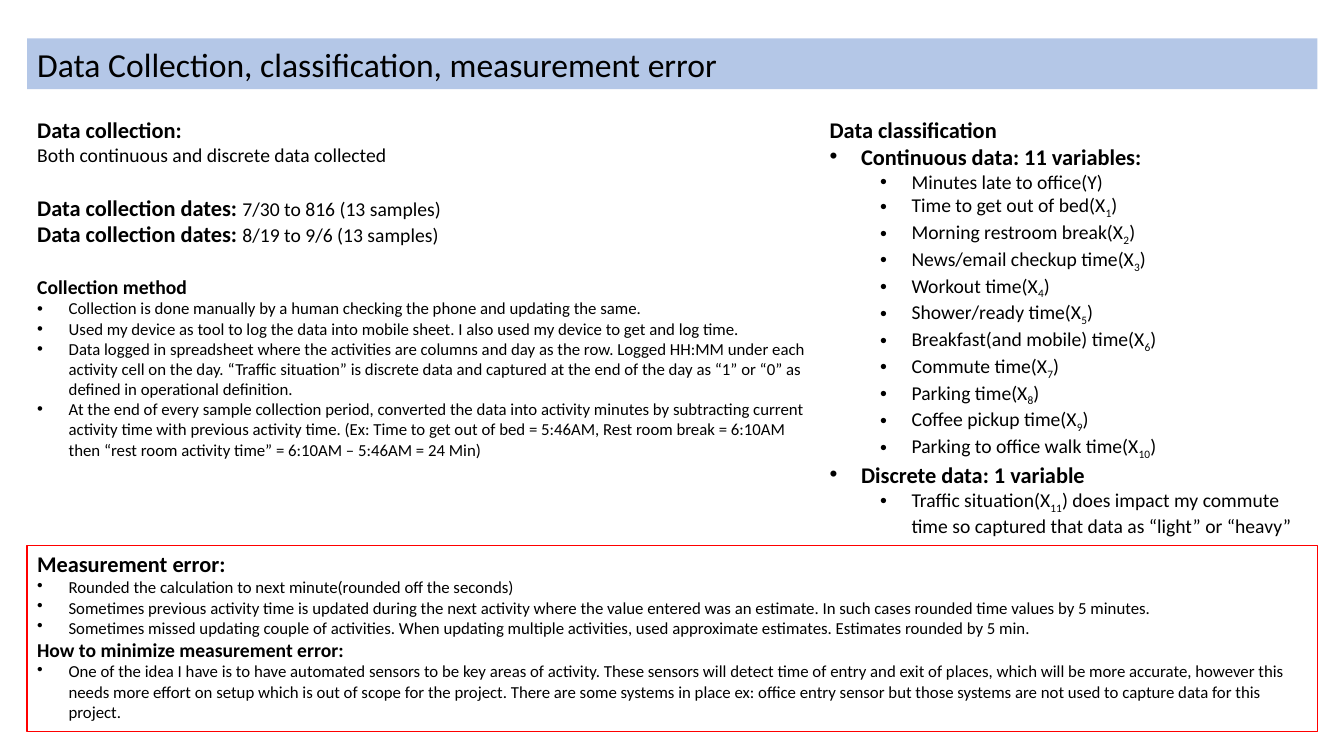
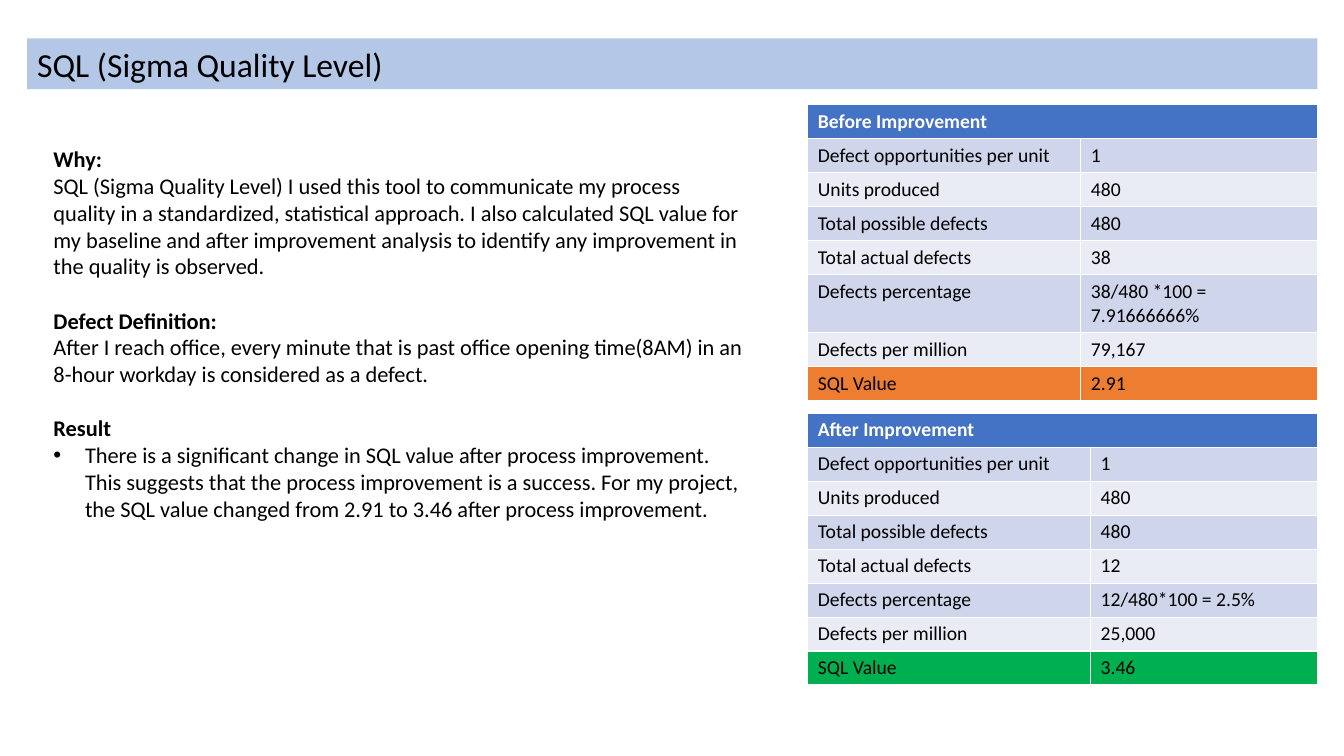
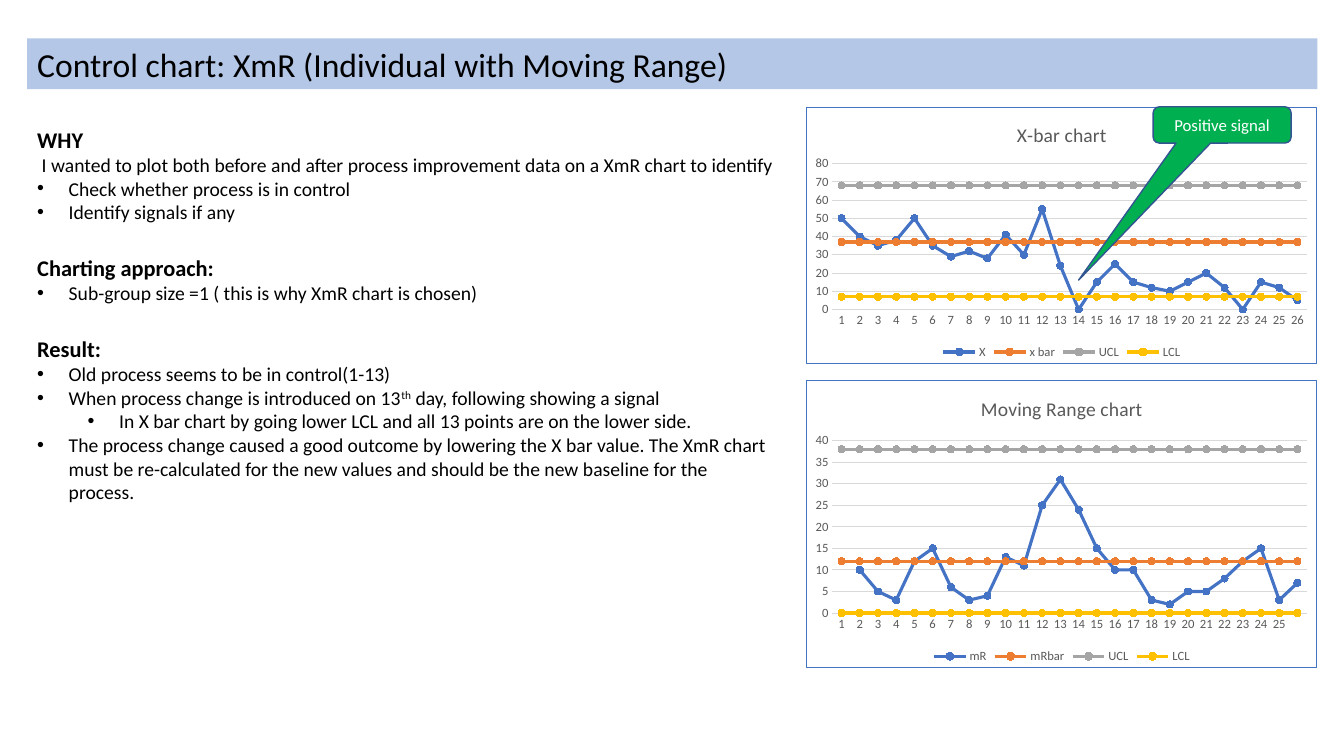
"""Build three process-improvement slides: data collection, sigma level and control charts."""
from dataclasses import dataclass

from lxml import etree
from pptx import Presentation
from pptx.chart import data as chart_data
from pptx.dml.color import RGBColor
from pptx.enum import chart as charts, shapes, text as texts
from pptx.oxml import ns
from pptx.util import Pt


@dataclass(frozen=True)
class Theme:
    font: str = "Calibri"
    black: str = "000000"
    white: str = "FFFFFF"
    band: str = "B4C7E7"
    blue: str = "4472C4"
    orange: str = "ED7D31"
    gray: str = "A5A5A5"
    gold: str = "FFC000"
    green: str = "00B050"
    red: str = "FF0000"
    callout_edge: str = "325491"
    chart_text: str = "595959"
    grid: str = "D9D9D9"
    stripes: tuple = ("CFD5EA", "E9EBF5")
    title: int = 24
    heading: int = 16
    body: int = 14
    small: int = 12
    axis: int = 9


THEME = Theme()
LEFT, RIGHT = 19.4, 941
BAND = (LEFT, 27.4, RIGHT - LEFT, 36.2)
INDENTS = (22.5, 58.5)
LINE_GAP, WIDE_GAP = 19.5, 22
SUBSCRIPT, SUPERSCRIPT = -25000, 30000

STYLES = {
    "heading": dict(size=THEME.heading, bold=True),
    "subheading": dict(size=THEME.body, bold=True),
    "large": dict(size=THEME.heading),
    "body": dict(size=THEME.body),
    "large bullet": dict(size=THEME.heading, level=0),
    "bold bullet": dict(size=THEME.heading, bold=True, level=0),
    "bullet": dict(size=THEME.body, level=0),
    "small bullet": dict(size=THEME.small, level=0),
    "sub-bullet": dict(size=THEME.body, level=1),
}


def variable(name, number, ending=""):
    return "sub-bullet", [(f"{name}(X", {}), (str(number), {"shift": SUBSCRIPT}), (f"){ending}", {})]


def collection_dates(dates):
    return [("Data collection dates: ", STYLES["heading"]), (dates, {})]


ACTIVITIES = [
    "Time to get out of bed", "Morning restroom break", "News/email checkup time", "Workout time",
    "Shower/ready time", "Breakfast(and mobile) time", "Commute time", "Parking time",
    "Coffee pickup time", "Parking to office walk time",
]
COLLECTION = [
    ("heading", "Data collection:"),
    ("body", "Both continuous and discrete data collected"),
    ("body", collection_dates("7/30 to 816 (13 samples)"), LINE_GAP),
    ("body", collection_dates("8/19 to 9/6 (13 samples)")),
    ("subheading", "Collection method", LINE_GAP),
    ("small bullet", "Collection is done manually by a human checking the phone and updating the same."),
    ("small bullet", "Used my device as tool to log the data into mobile sheet. I also used my device to get "
                     "and log time."),
    ("small bullet", "Data logged in spreadsheet where the activities are columns and day as the row. Logged "
                     "HH:MM under each activity cell on the day. “Traffic situation” is discrete data and "
                     "captured at the end of the day as “1” or “0” as defined in operational definition."),
    ("small bullet", "At the end of every sample collection period, converted the data into activity minutes by "
                     "subtracting current activity time with previous activity time. (Ex: Time to get out of "
                     "bed = 5:46AM, Rest room break = 6:10AM then “rest room activity time” = 6:10AM – 5:46AM "
                     "= 24 Min)"),
]
CLASSIFICATION = [
    ("heading", "Data classification"),
    ("bold bullet", "Continuous data: 11 variables:"),
    ("sub-bullet", "Minutes late to office(Y)"),
    *(variable(name, number) for number, name in enumerate(ACTIVITIES, 1)),
    ("bold bullet", "Discrete data: 1 variable"),
    variable("Traffic situation", 11,
             " does impact my commute time so captured that data as “light” or “heavy”"),
]
MEASUREMENT_ERROR = [
    ("heading", "Measurement error:"),
    ("small bullet", "Rounded the calculation to next minute(rounded off the seconds)"),
    ("small bullet", "Sometimes previous activity time is updated during the next activity where the value entered "
                     "was an estimate. In such cases rounded time values by 5 minutes."),
    ("small bullet", "Sometimes missed updating couple of activities. When updating multiple activities, used "
                     "approximate estimates. Estimates rounded by 5 min."),
    ("subheading", "How to minimize measurement error:"),
    ("small bullet", "One of the idea I have is to have automated sensors to be key areas of activity. These sensors "
                     "will detect time of entry and exit of places, which will be more accurate, however this needs "
                     "more effort on setup which is out of scope for the project. There are some systems in place "
                     "ex: office entry sensor but those systems are not used to capture data for this project."),
]
SIGMA_LEVEL = [
    ("heading", "Why:"),
    ("large", "SQL (Sigma Quality Level) I used this tool to communicate my process quality in a standardized, "
              "statistical approach. I also calculated SQL value for my baseline and after improvement analysis "
              "to identify any improvement in the quality is observed."),
    ("heading", "Defect Definition:", LINE_GAP),
    ("large", "After I reach office, every minute that is past office opening time(8AM) in an 8-hour workday is "
              "considered as a defect."),
    ("heading", "Result", LINE_GAP),
    ("large bullet", "There is a significant change in SQL value after process improvement. This suggests that the "
                     "process improvement is a success. For my project, the SQL value changed from 2.91 to 3.46 "
                     "after process improvement."),
]
CONTROL_CHART = [
    ("heading", "WHY"),
    ("body", " I wanted to plot both before and after process improvement data on a XmR chart to identify"),
    ("bullet", "Check whether process is in control"),
    ("bullet", "Identify signals if any"),
    ("heading", "Charting approach:", WIDE_GAP),
    ("bullet", "Sub-group size =1 ( this is why XmR chart is chosen)"),
    ("heading", "Result:", WIDE_GAP),
    ("bullet", "Old process seems to be in control(1-13)"),
    ("bullet", [("When process change is introduced on 13", {}), ("th", {"shift": SUPERSCRIPT}),
                (" day, following showing a signal", {})]),
    ("sub-bullet", "In X bar chart by going lower LCL and all 13 points are on the lower side."),
    ("bullet", "The process change caused a good outcome by lowering the X bar value. The XmR chart must be "
               "re-calculated for the new values and should be the new baseline for the process."),
]

MEASURES = ["Defect opportunities per unit", "Units produced", "Total possible defects", "Total actual defects",
            "Defects percentage", "Defects per million", "SQL Value"]
ROW_HEIGHT, TALL_ROW_HEIGHT = 24, 41
TABLES = [
    dict(heading="Before Improvement", top=74.9, columns=(195.1, 168.9), result_fill=THEME.orange, tall_row=5,
         values=["1", "480", "480", "38", "38/480 *100 = 7.91666666%", "79,167", "2.91"]),
    dict(heading="After Improvement", top=295.2, columns=(202, 162), result_fill=THEME.green, tall_row=None,
         values=["1", "480", "480", "12", "12/480*100 = 2.5%", "25,000", "3.46"]),
]

DAYS = [str(day) for day in range(1, 27)]
SERIES_COLORS = (THEME.blue, THEME.orange, THEME.gray, THEME.gold)
CHARTS = [
    dict(title="X-bar chart", top=76.3, height=183.6, days=DAYS, maximum=80, step=10, plot=(0.22, 0.57),
         points=("X", [50, 40, 35, 38, 50, 35, 29, 32, 28, 41, 30, 55, 24,
                       0, 15, 25, 15, 12, 10, 15, 20, 12, 0, 15, 12, 5]),
         limits={"x bar": 37, "UCL": 68, "LCL": 7}),
    dict(title="Moving Range chart", top=271.4, height=205.9, days=DAYS[:-1] + [""], maximum=40, step=5,
         plot=(0.21, 0.6),
         points=("mR", [None, 10, 5, 3, 12, 15, 6, 3, 4, 13, 11, 25, 31,
                        24, 15, 10, 10, 3, 2, 5, 5, 8, 12, 15, 3, 7]),
         limits={"mRbar": 12, "UCL": 38, "LCL": 0}),
]


def rgb(color):
    return RGBColor.from_string(color)


def place(shape, left, top, width, height):
    shape.left, shape.top, shape.width, shape.height = Pt(left), Pt(top), Pt(width), Pt(height)


def paint(part, color):
    part.fill.solid()
    part.fill.fore_color.rgb = rgb(color)


def stroke(line, color, width):
    line.color.rgb = rgb(color)
    line.width = Pt(width)


def set_font(font, size, color, bold=False):
    font.name, font.size, font.bold = THEME.font, Pt(size), bold
    font.color.rgb = rgb(color)


def write(frame, text, *, size, bold=False, color=THEME.black, level=None, gap=0, align=texts.PP_ALIGN.LEFT):
    para = frame.add_paragraph() if frame.text else frame.paragraphs[0]
    para.alignment, para.space_before, para.space_after = align, Pt(gap), Pt(0)
    para.level = level or 0
    props = para._p.get_or_add_pPr()
    props.set("marL", str(Pt(0 if level is None else INDENTS[level])))
    props.set("indent", str(Pt(0 if level is None else -INDENTS[0])))
    if level is None:
        etree.SubElement(props, ns.qn("a:buNone"))
    else:
        etree.SubElement(props, ns.qn("a:buChar")).set("char", "•")
    for words, changes in [(text, {})] if isinstance(text, str) else text:
        span = para.add_run()
        span.text = words
        set_font(span.font, changes.get("size", size), color, changes.get("bold", bold))
        if "shift" in changes:
            span._r.get_or_add_rPr().set("baseline", str(changes["shift"]))


def fill_frame(shape, paragraphs, anchor=texts.MSO_ANCHOR.TOP):
    frame = shape.text_frame
    frame.word_wrap, frame.auto_size, frame.vertical_anchor = True, texts.MSO_AUTO_SIZE.NONE, anchor
    for style, words, *gap in paragraphs:
        write(frame, words, gap=gap[0] if gap else 0, **STYLES[style])


def add_page(deck, layout, title, bodies):
    page = deck.slides.add_slide(deck.slide_layouts[layout])
    band = page.shapes.title
    place(band, *BAND)
    paint(band, THEME.band)
    fill_frame(band, [])
    write(band.text_frame, title, size=THEME.title)
    for index, (bounds, paragraphs) in enumerate(bodies, 1):
        body = page.placeholders[index]
        place(body, *bounds)
        fill_frame(body, paragraphs)
    return page


def add_box(page, kind, bounds, line_color):
    box = page.shapes.add_shape(kind, *(Pt(length) for length in bounds))
    box.shadow.inherit = False
    stroke(box.line, line_color, 1)
    return box


def add_sigma_table(page, heading, top, columns, result_fill, tall_row, values):
    rows = [(heading, ""), *zip(MEASURES, values)]
    heights = [TALL_ROW_HEIGHT if index == tall_row else ROW_HEIGHT for index in range(len(rows))]
    width = sum(columns)
    table = page.shapes.add_table(len(rows), 2, Pt(RIGHT - width), Pt(top), Pt(width), Pt(sum(heights))).table
    for column, column_width in zip(table.columns, columns):
        column.width = Pt(column_width)
    fills = [THEME.blue, *(THEME.stripes[index % 2] for index in range(len(values) - 1)), result_fill]
    for index, (row, fill) in enumerate(zip(rows, fills)):
        table.rows[index].height = Pt(heights[index])
        for cell, words in zip(table.rows[index].cells, row):
            paint(cell, fill)
            if words:
                write(cell.text_frame, words, size=THEME.body, bold=index == 0,
                      color=THEME.black if index else THEME.white)
    table.cell(0, 0).merge(table.cell(0, 1))


def frame_chart(chart, plot_top, plot_height):
    chart_part = chart._chartSpace.find(ns.qn("c:chart"))
    chart_part.addnext(etree.fromstring(
        f'<c:spPr {ns.nsdecls("c", "a")}><a:solidFill><a:srgbClr val="{THEME.white}"/></a:solidFill>'
        f'<a:ln w="{Pt(0.75)}"><a:solidFill><a:srgbClr val="{THEME.blue}"/></a:solidFill></a:ln></c:spPr>'))
    plot_area = chart_part.find(ns.qn("c:plotArea"))
    for old in plot_area.findall(ns.qn("c:layout")):
        plot_area.remove(old)
    layout = etree.Element(ns.qn("c:layout"))
    manual = etree.SubElement(layout, ns.qn("c:manualLayout"))
    settings = dict(layoutTarget="inner", xMode="edge", yMode="edge", x=0.05, y=plot_top, w=0.93, h=plot_height)
    for name, value in settings.items():
        etree.SubElement(manual, ns.qn(f"c:{name}")).set("val", str(value))
    plot_area.insert(0, layout)


def add_control_chart(page, title, top, height, days, maximum, step, plot, points, limits):
    values = chart_data.CategoryChartData()
    values.categories = days
    values.add_series(*points)
    for name, limit in limits.items():
        values.add_series(name, [limit] * len(days))
    chart = page.shapes.add_chart(charts.XL_CHART_TYPE.LINE_MARKERS, Pt(576), Pt(top), Pt(RIGHT - 576),
                                  Pt(height), values).chart
    set_font(chart.font, THEME.axis, THEME.chart_text)
    chart.has_title = True
    write(chart.chart_title.text_frame, title, size=THEME.body, color=THEME.chart_text,
          align=texts.PP_ALIGN.CENTER)
    chart.chart_title.include_in_layout = False
    chart.has_legend = True
    chart.legend.position = charts.XL_LEGEND_POSITION.BOTTOM
    chart.legend.include_in_layout = False
    set_font(chart.legend.font, THEME.axis, THEME.chart_text)
    for axis in (chart.category_axis, chart.value_axis):
        axis.major_tick_mark = axis.minor_tick_mark = charts.XL_TICK_MARK.NONE
        set_font(axis.tick_labels.font, THEME.axis, THEME.chart_text)
    stroke(chart.category_axis.format.line, THEME.grid, 0.75)
    scale = chart.value_axis
    scale.minimum_scale, scale.maximum_scale, scale.major_unit = 0, maximum, step
    scale.format.line.fill.background()
    stroke(scale.major_gridlines.format.line, THEME.grid, 0.75)
    chart.plots[0].vary_by_categories = False
    for series, color in zip(chart.plots[0].series, SERIES_COLORS):
        series.smooth = False
        stroke(series.format.line, color, 2.25)
        series.marker.style, series.marker.size = charts.XL_MARKER_STYLE.CIRCLE, 5
        paint(series.marker.format, color)
        stroke(series.marker.format.line, color, 0.75)
    frame_chart(chart, *plot)


def main():
    deck = Presentation()
    deck.slide_width, deck.slide_height = Pt(960), Pt(540)

    page = add_page(deck, 3, "Data Collection, classification, measurement error", [
        ((LEFT, 79.2, 566.6, 254), COLLECTION), ((585.4, 79.2, 355.6, 286), CLASSIFICATION)])
    error_box = add_box(page, shapes.MSO_SHAPE.RECTANGLE, (LEFT, 389.5, RIGHT - LEFT, 133.2), THEME.red)
    error_box.fill.background()
    fill_frame(error_box, MEASUREMENT_ERROR)

    page = add_page(deck, 1, "SQL (Sigma Quality Level)", [((31, 100, 507.6, 278.6), SIGMA_LEVEL)])
    for table in TABLES:
        add_sigma_table(page, **table)

    page = add_page(deck, 1, "Control chart: XmR (Individual with Moving Range)",
                    [((LEFT, 86.4, 543.6, 300), CONTROL_CHART)])
    for chart in CHARTS:
        add_control_chart(page, **chart)
    signal = add_box(page, shapes.MSO_SHAPE.ROUNDED_RECTANGULAR_CALLOUT, (823.7, 76.3, 98.6, 25.9),
                     THEME.callout_edge)
    for index, value in enumerate((-1.04, 4.28, 0.17)):
        signal.adjustments[index] = value
    paint(signal, THEME.green)
    fill_frame(signal, [], texts.MSO_ANCHOR.MIDDLE)
    write(signal.text_frame, "Positive signal", size=THEME.small, color=THEME.white,
          align=texts.PP_ALIGN.CENTER)

    deck.save("out.pptx")


if __name__ == "__main__":
    main()
